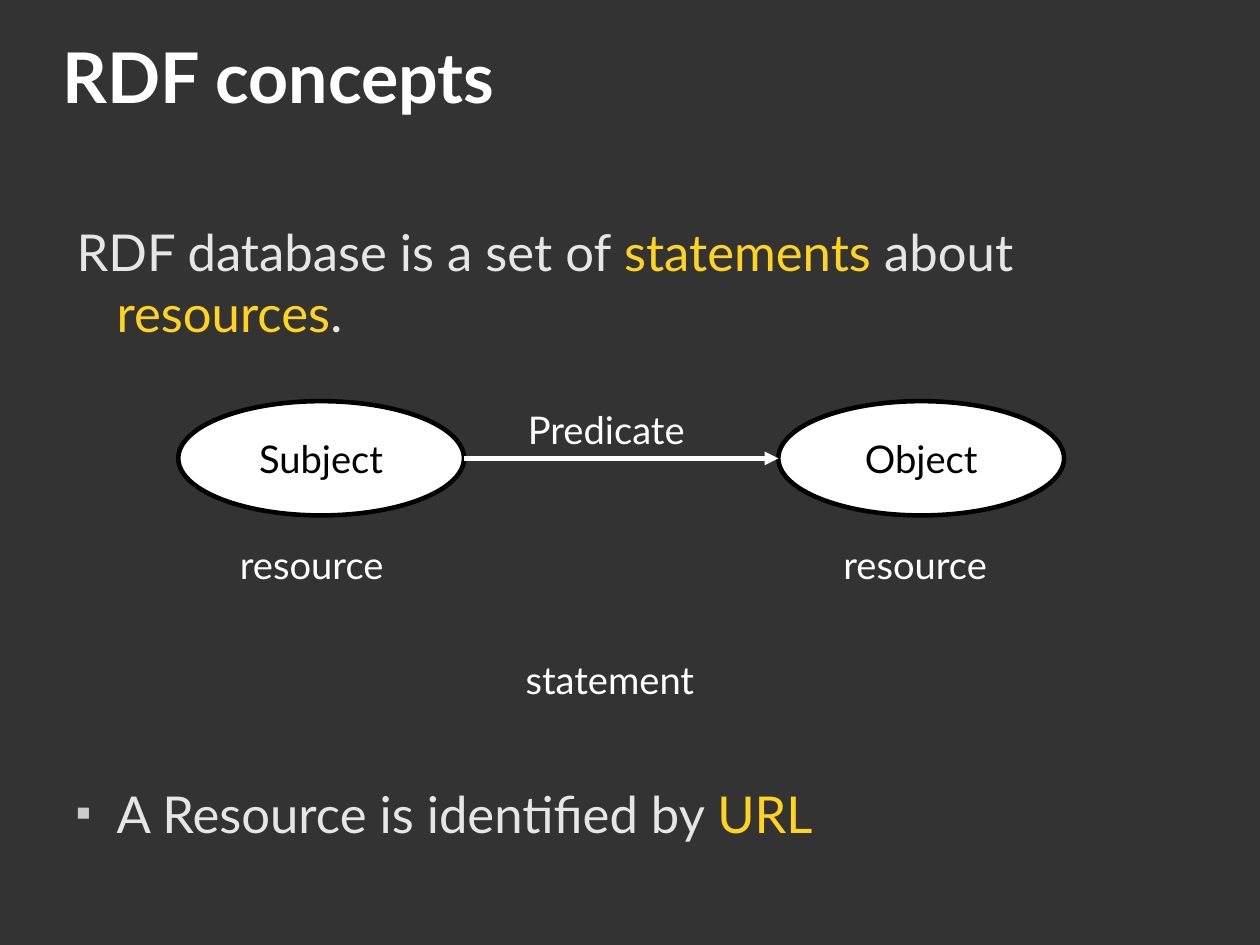
import pptx
import pptx.util
import pptx.dml.color
import pptx.enum.text
import pptx.enum.shapes
import pptx.oxml.ns
import lxml.etree

Inches = pptx.util.Inches
Pt = pptx.util.Pt
ALIGN = pptx.enum.text.PP_ALIGN
ANCHOR = pptx.enum.text.MSO_ANCHOR

COLORS = {"background": "333333", "white": "FFFFFF", "black": "000000",
          "body": "E6E6E6", "accent": "FFD320", "bullet": "CCCCCC"}
FONT = "Lato"

heading = "RDF concepts"
definition = [("RDF database is a set of ", "body"), ("statements", "accent"),
              (" about ", "body"), ("resources", "accent"), (".", "body")]
identity = [("A Resource is identified by ", "body"), ("URL", "accent")]
nodes = [("Subject", 1.56), ("Object", 6.81)]
labels = [("statement", 4.5, 5.69, 1.91), ("Predicate", 4.52, 3.51, 1.77),
          ("resource", 2, 4.69, 1.65), ("resource", 7.28, 4.69, 1.65)]

CM_PER_INCH = 2.54
SLIDE_WIDTH, SLIDE_HEIGHT = 28 / CM_PER_INCH, 21 / CM_PER_INCH
NODE_TOP, NODE_WIDTH, NODE_HEIGHT = 3.51, 2.5, 1
LABEL_HEIGHT = 0.5
LINE_WIDTH = 2.89
LEFT, WIDTH = 0.55, 9.92
DIAGRAM_GAP = 263


def rgb(name):
    return pptx.dml.color.RGBColor.from_string(COLORS[name])


def apply(target, values):
    for name, value in values.items():
        setattr(target, name, value)


def write(paragraph, runs, size, bold=False):
    for text, color in runs:
        run = paragraph.add_run()
        run.text = text
        apply(run.font, {"name": FONT, "size": Pt(size), "bold": bold})
        run.font.color.rgb = rgb(color)


def place(placeholder, top, height, anchor):
    apply(placeholder, {"left": Inches(LEFT), "top": Inches(top),
                        "width": Inches(WIDTH), "height": Inches(height)})
    apply(placeholder.text_frame, {
        "margin_left": 0, "margin_right": 0, "margin_top": 0, "margin_bottom": 0,
        "word_wrap": True, "vertical_anchor": anchor,
        "auto_size": pptx.enum.text.MSO_AUTO_SIZE.NONE})


def add_xml(parent, tag, **attributes):
    return lxml.etree.SubElement(parent, pptx.oxml.ns.qn(tag), attributes)


def add_item(paragraph, runs, space_before, bulleted):
    properties = paragraph._p.get_or_add_pPr()
    properties.set("marL", str(Inches(0.47)))
    properties.set("indent", str(Inches(-0.35)))
    if bulleted:
        add_xml(add_xml(properties, "a:buClr"), "a:srgbClr", val=COLORS["bullet"])
        add_xml(properties, "a:buSzPct", val="45000")
        add_xml(properties, "a:buChar", char="■")
    else:
        add_xml(properties, "a:buNone")
    apply(paragraph, {"space_before": Pt(space_before), "space_after": Pt(14.2),
                      "alignment": ALIGN.LEFT})
    write(paragraph, runs, 32)


deck = pptx.Presentation()
apply(deck, {"slide_width": Inches(SLIDE_WIDTH), "slide_height": Inches(SLIDE_HEIGHT)})
slide = deck.slides.add_slide(deck.slide_layouts[1])
slide.background.fill.solid()
slide.background.fill.fore_color.rgb = rgb("background")

title = slide.shapes.title
place(title, 0.31, 0.71, ANCHOR.MIDDLE)
title.text_frame.paragraphs[0].alignment = ALIGN.LEFT
write(title.text_frame.paragraphs[0], [(heading, "white")], 44, True)

body = slide.placeholders[1]
place(body, 1.93, 6.04, ANCHOR.TOP)
add_item(body.text_frame.paragraphs[0], definition, 0, False)
add_item(body.text_frame.add_paragraph(), identity, DIAGRAM_GAP, True)

for name, left in nodes:
    node = slide.shapes.add_shape(
        pptx.enum.shapes.MSO_SHAPE.OVAL, Inches(left), Inches(NODE_TOP),
        Inches(NODE_WIDTH), Inches(NODE_HEIGHT))
    node.shadow.inherit = False
    node.fill.solid()
    node.fill.fore_color.rgb = rgb("white")
    node.line.color.rgb = rgb("black")
    node.line.width = Pt(LINE_WIDTH)
    node.text_frame.vertical_anchor = ANCHOR.MIDDLE
    node.text_frame.paragraphs[0].alignment = ALIGN.CENTER
    write(node.text_frame.paragraphs[0], [(name, "black")], 24)

arrow_y = Inches(NODE_TOP + NODE_HEIGHT / 2)
predicate = slide.shapes.add_connector(
    pptx.enum.shapes.MSO_CONNECTOR.STRAIGHT, Inches(nodes[0][1] + NODE_WIDTH),
    arrow_y, Inches(nodes[1][1]), arrow_y)
predicate.line.color.rgb = rgb("white")
predicate.line.width = Pt(LINE_WIDTH)
add_xml(predicate.line._get_or_add_ln(), "a:tailEnd", type="triangle")
add_xml(predicate._element.spPr, "a:effectLst")

for text, left, top, width in labels:
    label = slide.shapes.add_textbox(Inches(left), Inches(top),
                                     Inches(width), Inches(LABEL_HEIGHT))
    label.text_frame.word_wrap = True
    write(label.text_frame.paragraphs[0], [(text, "white")], 24)

deck.save("out.pptx")
